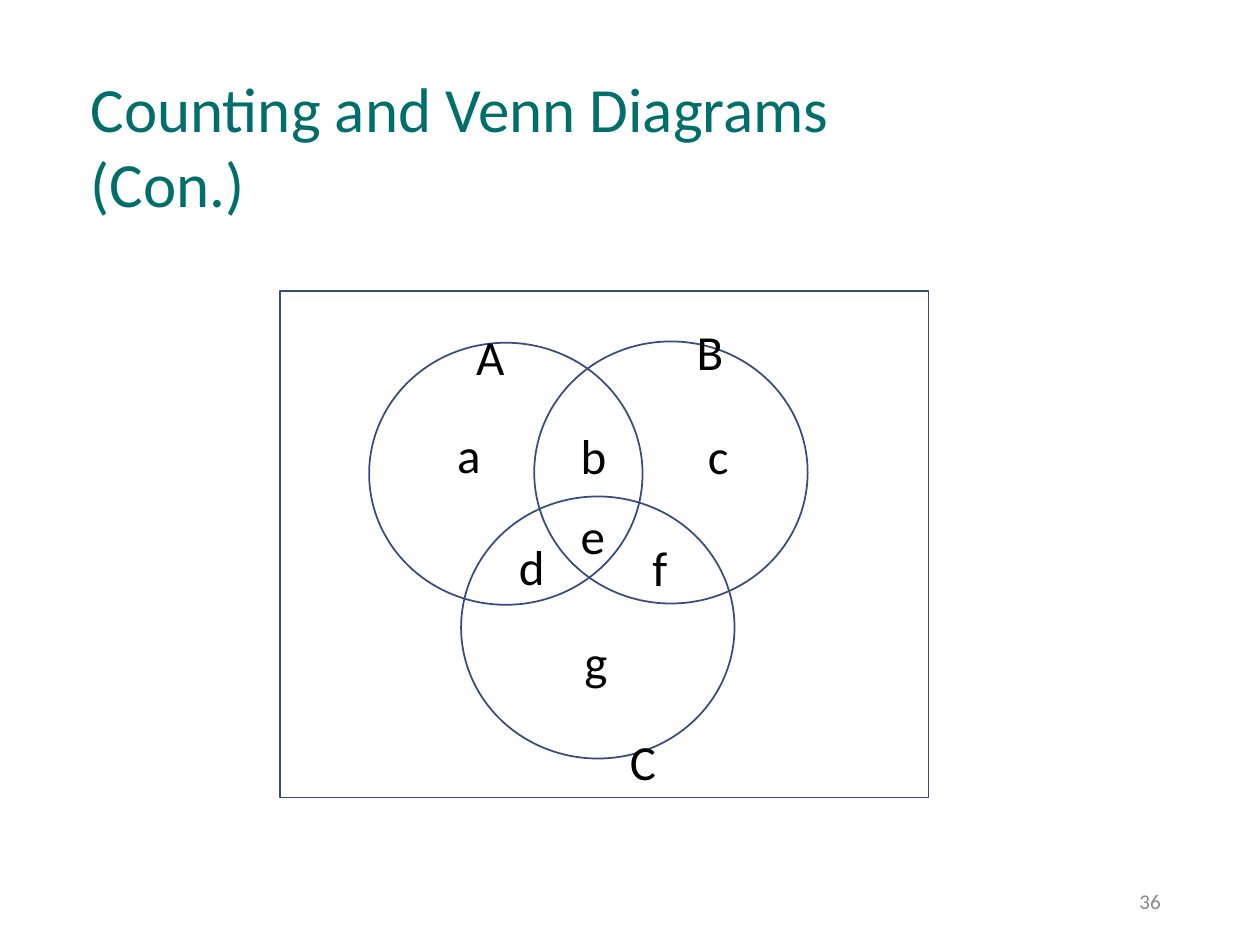
from pptx import Presentation
from pptx.dml.color import RGBColor
from pptx.enum.shapes import MSO_SHAPE
from pptx.enum.text import MSO_ANCHOR, PP_ALIGN
from pptx.util import Inches, Pt

RECT, ELLIPSE = MSO_SHAPE.RECTANGLE, MSO_SHAPE.OVAL
TOP, MIDDLE = MSO_ANCHOR.TOP, MSO_ANCHOR.MIDDLE
LEFT, RIGHT = PP_ALIGN.LEFT, PP_ALIGN.RIGHT

THEME = {
    "font": "Calibri",
    "title": (36, "006F6C"),
    "label": (28, "000000"),
    "number": (12, "898989"),
    "outline": (1, "374B7F"),
}

TITLE = "Counting and Venn Diagrams (Con.)"
PAGE_NUMBER = "36"
UNIVERSE = (2.22, 2.31, 5.15, 4.02)
SET_SIZE = (2.17, 2.08)
SET_CORNERS = [(2.93, 2.72), (4.24, 2.71), (3.66, 3.94)]
LABEL_SIZE = (0.42, 0.44)
LABELS = {
    "a": (3.53, 3.32), "b": (4.51, 3.33), "c": (5.52, 3.33),
    "d": (4.02, 4.21), "e": (4.51, 3.96), "f": (5.08, 4.22),
    "g": (4.54, 4.96),
    "A": (3.68, 2.54), "B": (5.43, 2.5), "C": (4.9, 5.76),
}


def add_outline(s, kind, box):
    sp = s.shapes.add_shape(kind, *map(Inches, box))
    sp.shadow.inherit = False
    sp.fill.background()
    width, color = THEME["outline"]
    sp.line.width = Pt(width)
    sp.line.color.rgb = RGBColor.from_string(color)


def add_text(s, text, box, style, wrap=True, anchor=TOP, align=LEFT):
    tf = s.shapes.add_textbox(*map(Inches, box)).text_frame
    tf.text = text
    tf.word_wrap = wrap
    tf.vertical_anchor = anchor
    p = tf.paragraphs[0]
    p.alignment = align
    font = p.runs[0].font
    size, color = THEME[style]
    font.name = THEME["font"]
    font.size = Pt(size)
    font.color.rgb = RGBColor.from_string(color)


def main():
    prs = Presentation()
    prs.slide_width, prs.slide_height = Inches(10), Inches(7.5)
    s = prs.slides.add_slide(prs.slide_layouts[6])

    for corner in SET_CORNERS:
        add_outline(s, ELLIPSE, corner + SET_SIZE)
    add_outline(s, RECT, UNIVERSE)
    for name, corner in LABELS.items():
        add_text(s, name, corner + LABEL_SIZE, "label")

    add_text(s, TITLE, (0.62, 0.5, 7.39, 0.7), "title", wrap=False)
    add_text(s, PAGE_NUMBER, (7.06, 6.95, 2.25, 0.4), "number",
             anchor=MIDDLE, align=RIGHT)
    prs.save("out.pptx")


if __name__ == "__main__":
    main()
